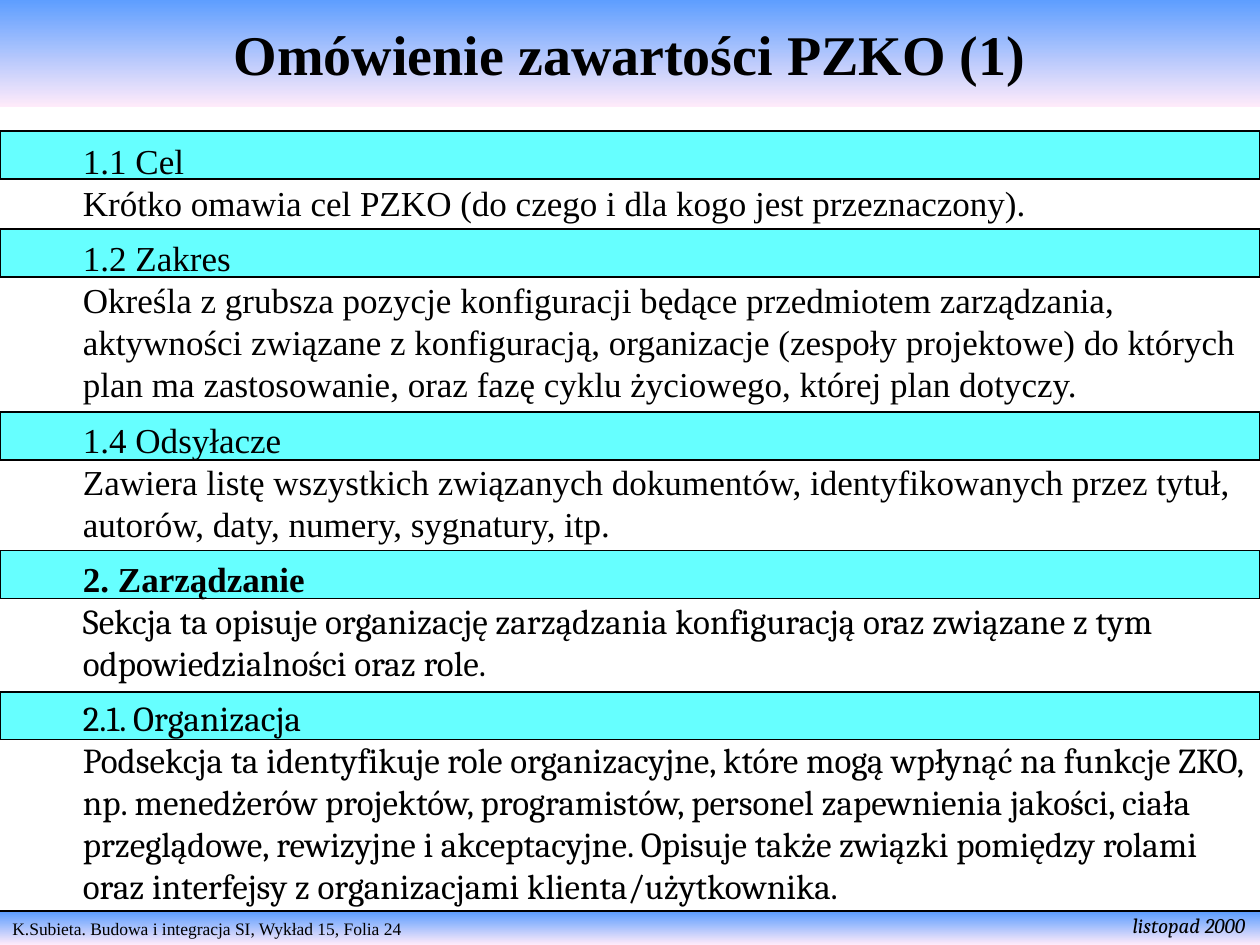
from dataclasses import dataclass

from lxml import etree
from pptx import Presentation
from pptx.dml.color import RGBColor
from pptx.enum.shapes import MSO_CONNECTOR, MSO_SHAPE
from pptx.enum.text import MSO_ANCHOR, MSO_AUTO_SIZE, PP_ALIGN
from pptx.oxml.ns import qn
from pptx.util import Inches, Pt

RECT = MSO_SHAPE.RECTANGLE
LINE = MSO_CONNECTOR.STRAIGHT
TOP, MIDDLE = MSO_ANCHOR.TOP, MSO_ANCHOR.MIDDLE
LEFT, CENTER = PP_ALIGN.LEFT, PP_ALIGN.CENTER
GROW = MSO_AUTO_SIZE.SHAPE_TO_FIT_TEXT


@dataclass(frozen=True)
class Theme:
    ink: RGBColor = RGBColor(0x00, 0x00, 0x00)
    bar: RGBColor = RGBColor(0x66, 0xFF, 0xFF)
    sky: RGBColor = RGBColor(0x5E, 0x9E, 0xFF)
    pink: RGBColor = RGBColor(0xFF, 0xEB, 0xFA)
    serif: str = "Times New Roman"
    alt: str = "Cambria"
    title: float = 32
    body: float = 20
    date: float = 12
    foot: float = 10
    pitch: float = 24
    gap: float = 7.5
    rule: float = 1


THEME = Theme()


@dataclass(frozen=True)
class Box:
    left: float
    top: float
    width: float
    height: float

    def place(self) -> tuple:
        return tuple(map(Inches, (self.left, self.top, self.width, self.height)))


@dataclass(frozen=True)
class Topic:
    top: float
    head: str
    text: str
    head_font: str = THEME.serif
    text_font: str = THEME.serif
    bold: bool = False


TOPICS = [
    Topic(1.04, "1.1 Cel",
          "Krótko omawia cel PZKO (do czego i dla kogo jest przeznaczony)."),
    Topic(1.82, "1.2 Zakres",
          "Określa z grubsza pozycje konfiguracji będące przedmiotem zarządzania, "
          "aktywności związane z konfiguracją, organizacje (zespoły projektowe) "
          "do których plan ma zastosowanie, oraz fazę cyklu życiowego, której "
          "plan dotyczy."),
    Topic(3.27, "1.4 Odsyłacze",
          "Zawiera listę wszystkich związanych dokumentów, identyfikowanych przez "
          "tytuł, autorów, daty, numery, sygnatury, itp."),
    Topic(4.37, "2. Zarządzanie",
          "Sekcja ta opisuje organizację zarządzania konfiguracją oraz związane "
          "z tym odpowiedzialności oraz role.",
          text_font=THEME.alt, bold=True),
    Topic(5.49, "2.1. Organizacja",
          "Podsekcja ta identyfikuje role organizacyjne, które mogą wpłynąć na "
          "funkcje ZKO, np. menedżerów projektów, programistów, personel "
          "zapewnienia jakości, ciała przeglądowe, rewizyjne i akceptacyjne. "
          "Opisuje także związki pomiędzy rolami oraz interfejsy z organizacjami "
          "klienta/użytkownika.",
          head_font=THEME.alt, text_font=THEME.alt),
]


def add_run(para, text: str, size: float, face: str = THEME.serif,
            bold: bool = False, italic: bool = False) -> None:
    run = para.add_run()
    run.text = text
    font = run.font
    font.size, font.name = Pt(size), face
    font.bold, font.italic = bold, italic
    font.color.rgb = THEME.ink


def add_rect(slide, box: Box):
    shape = slide.shapes.add_shape(RECT, *box.place())
    shape.shadow.inherit = False
    return shape


def add_band(slide, box: Box, text: str, size: float, bold: bool = False,
             align=LEFT, anchor=TOP) -> None:
    band = add_rect(slide, box)
    band.line.fill.background()
    band.fill.gradient()
    band.fill.gradient_angle = 270
    for stop, color in zip(band.fill.gradient_stops, (THEME.sky, THEME.pink)):
        stop.color.rgb = color
    frame = band.text_frame
    frame.word_wrap, frame.vertical_anchor = True, anchor
    para = frame.paragraphs[0]
    para.alignment = align
    add_run(para, text, size, bold=bold)


def add_bar(slide, top: float) -> None:
    bar = add_rect(slide, Box(0, top, 10, 0.38))
    bar.fill.solid()
    bar.fill.fore_color.rgb = THEME.bar
    bar.line.color.rgb = THEME.ink
    bar.line.width = Pt(THEME.rule)


def add_rule(slide, top: float) -> None:
    rule = slide.shapes.add_connector(
        LINE, Inches(0), Inches(top), Inches(10), Inches(top))
    rule.line.color.rgb = THEME.ink
    rule.line.width = Pt(THEME.rule)
    etree.SubElement(rule._element.spPr, qn("a:effectLst"))


def add_frame(slide, box: Box, wrap: bool):
    frame = slide.shapes.add_textbox(*box.place()).text_frame
    frame.word_wrap, frame.auto_size = wrap, GROW
    return frame


def add_body(slide, topics: list[Topic]) -> None:
    frame = add_frame(slide, Box(0.56, 1.06, 9.44, 6.19), True)
    for topic in topics:
        head = frame.paragraphs[0] if topic is topics[0] else frame.add_paragraph()
        text = frame.add_paragraph()
        for para in (head, text):
            para.line_spacing = Pt(THEME.pitch)
        if topic is not topics[-1]:
            text.space_after = Pt(THEME.gap)
        add_run(head, topic.head, THEME.body, topic.head_font, topic.bold)
        add_run(text, topic.text, THEME.body, topic.text_font)


def main() -> None:
    deck = Presentation()
    deck.slide_width, deck.slide_height = Inches(10), Inches(7.5)
    slide = deck.slides.add_slide(deck.slide_layouts[6])

    # Footer
    add_band(slide, Box(0, 7.24, 10, 0.26),
             "K.Subieta. Budowa i integracja SI, Wykład 15, Folia 24", THEME.foot)
    add_rule(slide, 7.23)
    date = add_frame(slide, Box(8.89, 7.19, 1.11, 0.3), False)
    add_run(date.paragraphs[0], "listopad 2000", THEME.date, THEME.alt, italic=True)

    # Heading bars
    for topic in TOPICS:
        add_bar(slide, topic.top)

    # Title and body
    add_band(slide, Box(0, 0, 10, 0.85), "Omówienie zawartości PZKO (1)",
             THEME.title, bold=True, align=CENTER, anchor=MIDDLE)
    add_body(slide, TOPICS)

    deck.save("out.pptx")


if __name__ == "__main__":
    main()
